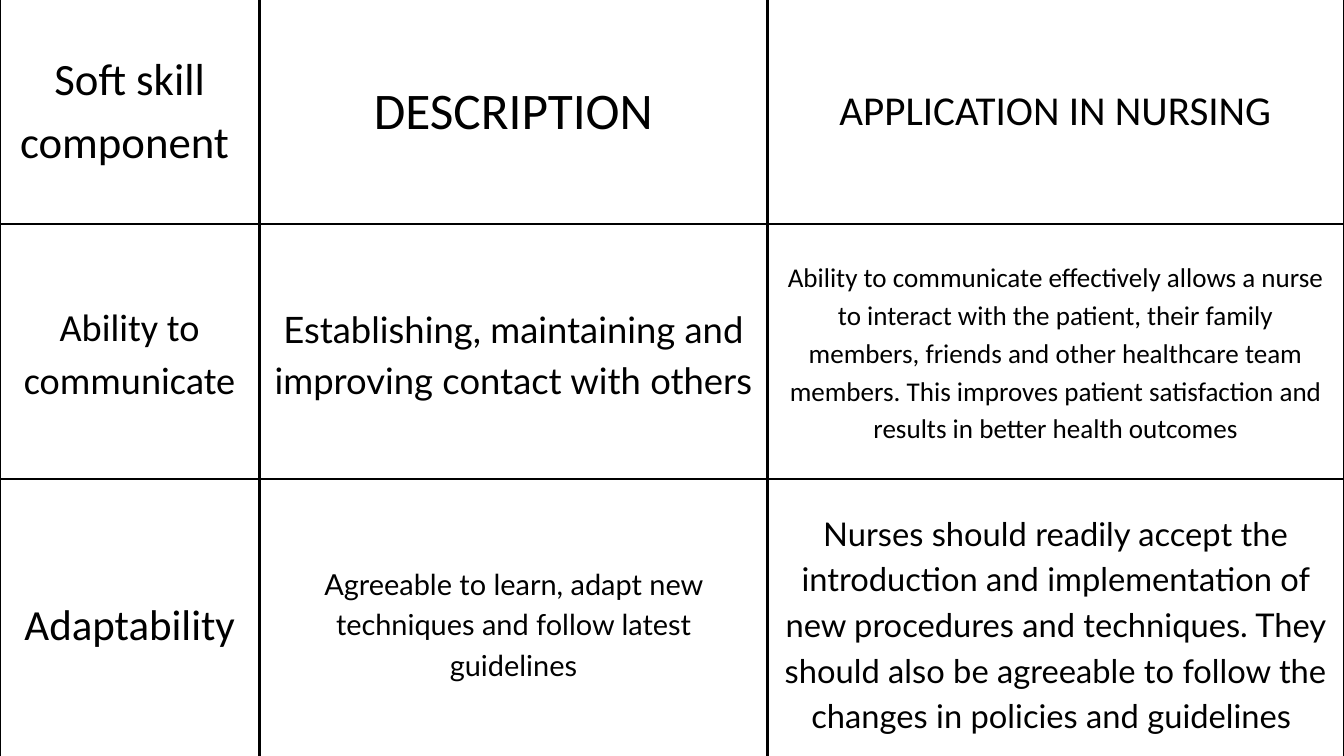
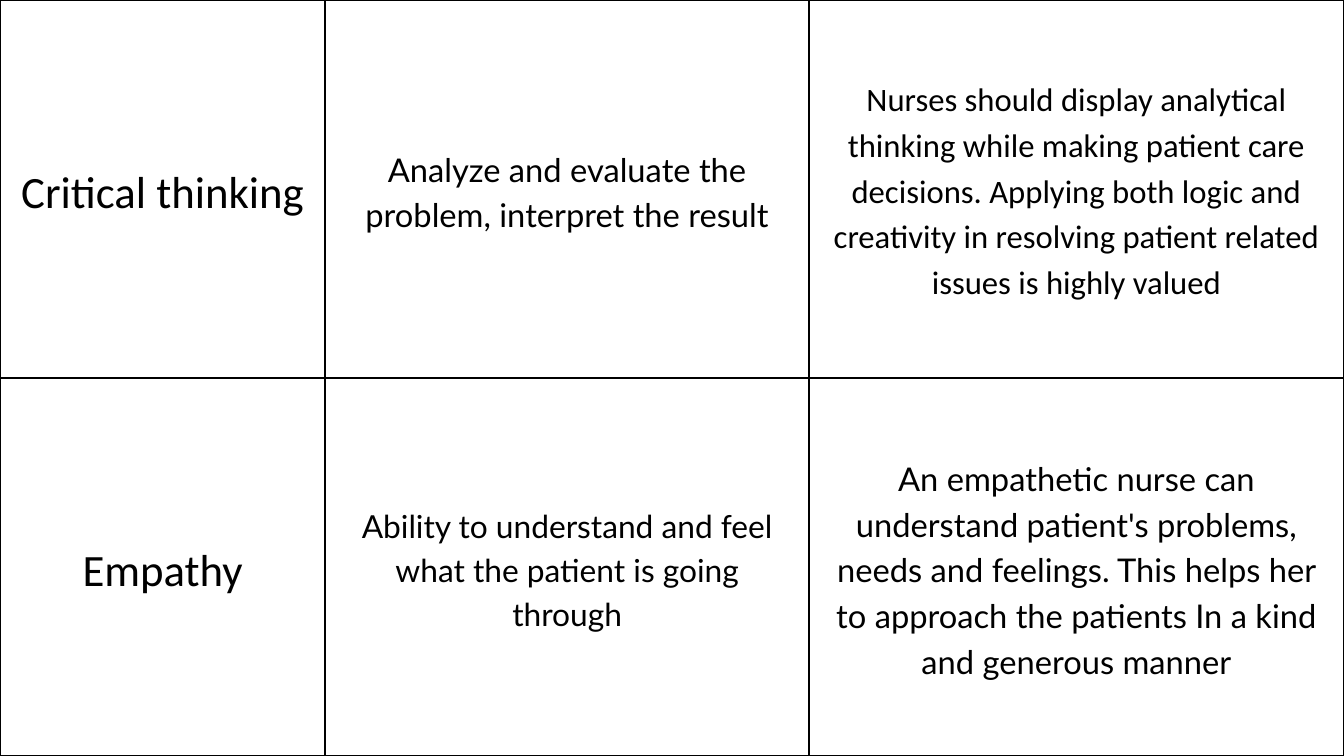
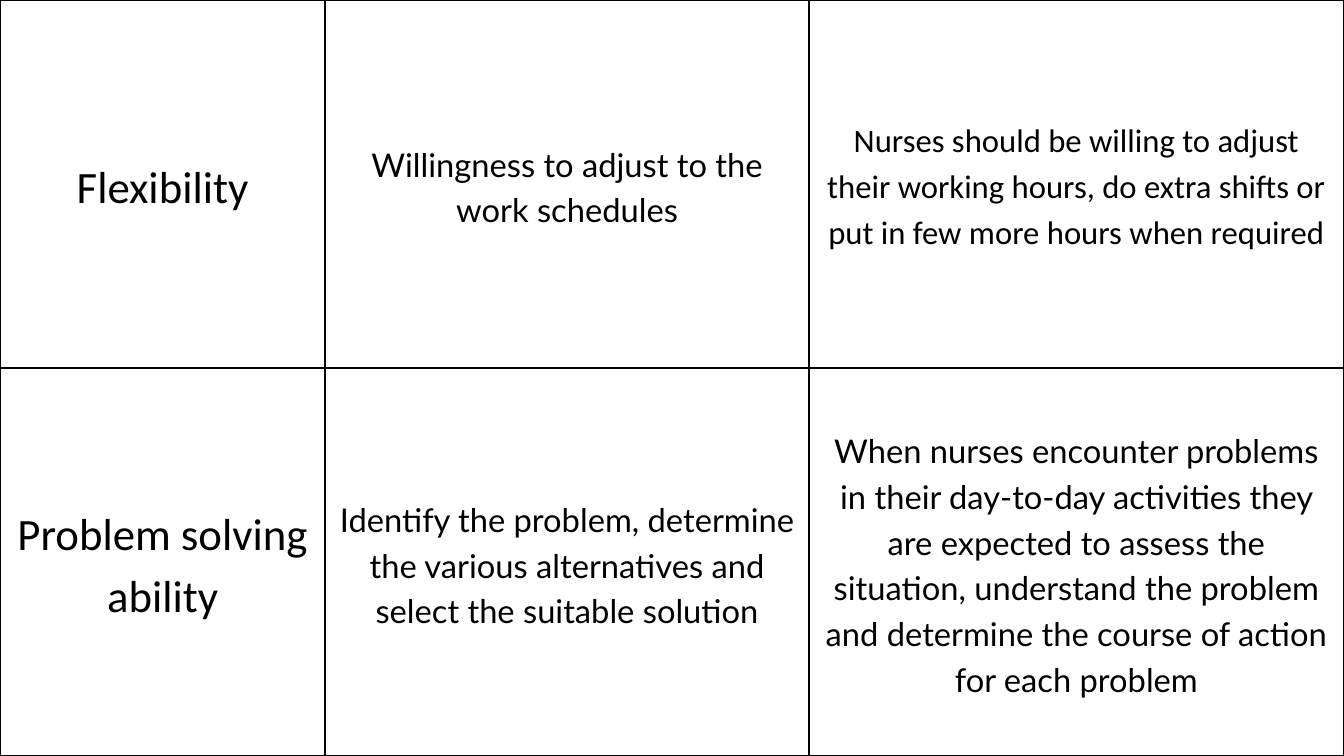
import pptx
import pptx.dml.color
import pptx.enum.text
import pptx.oxml
import pptx.oxml.ns
import pptx.util

Inches, Pt = pptx.util.Inches, pptx.util.Pt

# Shared style
SLIDE_W, SLIDE_H = 20, 11.25
BLACK, WHITE = "000000", "FFFFFF"
LABEL_FONT, BODY_FONT = "Calibri", "Lato"
MARGIN = 0.21
BORDER_PT = 3
LEADING = 1.4
SKILL_COLS = (4.84, 7.2, 7.96)

# Each cell is (text, size, font)
SLIDES = [
    {
        "top": -0.13, "cols": (3.86, 7.56, 8.58), "heights": (3.46, 3.8, 4.24),
        "rows": [
            [("Soft skill component ", 48, LABEL_FONT),
             ("DESCRIPTION", 55, LABEL_FONT),
             ("APPLICATION IN NURSING", 44, LABEL_FONT)],
            [("Ability to communicate", 41, LABEL_FONT),
             ("Establishing, maintaining and improving contact with others", 39, BODY_FONT),
             ("Ability to communicate effectively allows a nurse to interact with the "
              "patient, their family members, friends and other healthcare team members. "
              "This improves patient satisfaction and results in better health outcomes",
              29, LABEL_FONT)],
            [("Adaptability", 46, LABEL_FONT),
             ("Agreeable to learn, adapt new techniques and follow latest guidelines",
              31, BODY_FONT),
             ("Nurses should readily accept the introduction and implementation of new "
              "procedures and techniques. They should also be agreeable to follow the "
              "changes in policies and guidelines ", 35, BODY_FONT)],
        ],
    },
    {
        "top": 0, "cols": SKILL_COLS, "heights": (SLIDE_H / 2, SLIDE_H / 2),
        "rows": [
            [("Critical thinking", 48, LABEL_FONT),
             ("Analyze and evaluate the problem, interpret the result", 35, BODY_FONT),
             ("Nurses should display analytical thinking while making patient care "
              "decisions. Applying both logic and creativity in resolving patient "
              "related issues is highly valued", 35, LABEL_FONT)],
            [("Empathy", 48, LABEL_FONT),
             ("Ability to understand and feel what the patient is going through",
              34, BODY_FONT),
             ("An empathetic nurse can understand patient's problems, needs and "
              "feelings. This helps her to approach the patients In a kind and "
              "generous manner", 35, BODY_FONT)],
        ],
    },
    {
        "top": 0, "cols": SKILL_COLS, "heights": (5.48, 5.77),
        "rows": [
            [("Flexibility", 48, LABEL_FONT),
             ("Willingness to adjust to the work schedules", 35, BODY_FONT),
             ("Nurses should be willing to adjust their working hours, do extra shifts "
              "or put in few more hours when required", 35, LABEL_FONT)],
            [("Problem solving ability", 48, LABEL_FONT),
             ("Identify the problem, determine the various alternatives and select the "
              "suitable solution", 35, BODY_FONT),
             ("When nurses encounter problems in their day-to-day activities they are "
              "expected to assess the situation, understand the problem and determine "
              "the course of action for each problem", 35, BODY_FONT)],
        ],
    },
]


def rgb(color):
    return pptx.dml.color.RGBColor.from_string(color)


def write(tf, text, size, font, color=BLACK):
    p = tf.paragraphs[0]
    p.alignment = pptx.enum.text.PP_ALIGN.CENTER
    p.line_spacing = Pt(size * LEADING)
    r = p.add_run()
    r.text = text
    r.font.size, r.font.name = Pt(size), font
    r.font.color.rgb = rgb(color)


def style_cell(cell):
    cell.fill.solid()
    cell.fill.fore_color.rgb = rgb(WHITE)
    cell.vertical_anchor = pptx.enum.text.MSO_ANCHOR.MIDDLE
    cell.margin_left = cell.margin_right = Inches(MARGIN)
    cell.margin_top = cell.margin_bottom = Inches(MARGIN)
    # Border lines come before the fill in the cell properties
    tc_pr = cell._tc.get_or_add_tcPr()
    for i, side in enumerate(("lnL", "lnR", "lnT", "lnB")):
        tc_pr.insert(i, pptx.oxml.parse_xml(
            f'<a:{side} {pptx.oxml.ns.nsdecls("a")} w="{Pt(BORDER_PT)}">'
            f'<a:solidFill><a:srgbClr val="{BLACK}"/></a:solidFill></a:{side}>'))


def add_skill_table(slide, top, cols, heights, rows):
    table = slide.shapes.add_table(
        len(rows), len(cols), 0, Inches(top),
        Inches(SLIDE_W), Inches(sum(heights))).table
    table.first_row = table.horz_banding = False
    for column, width in zip(table.columns, cols):
        column.width = Inches(width)
    for row, height, contents in zip(table.rows, heights, rows):
        row.height = Inches(height)
        for cell, (text, size, font) in zip(row.cells, contents):
            style_cell(cell)
            write(cell.text_frame, text, size=size, font=font)


def main():
    prs = pptx.Presentation()
    prs.slide_width, prs.slide_height = Inches(SLIDE_W), Inches(SLIDE_H)
    blank = prs.slide_layouts[6]
    for content in SLIDES:
        add_skill_table(prs.slides.add_slide(blank), **content)
    prs.save("out.pptx")


if __name__ == "__main__":
    main()
